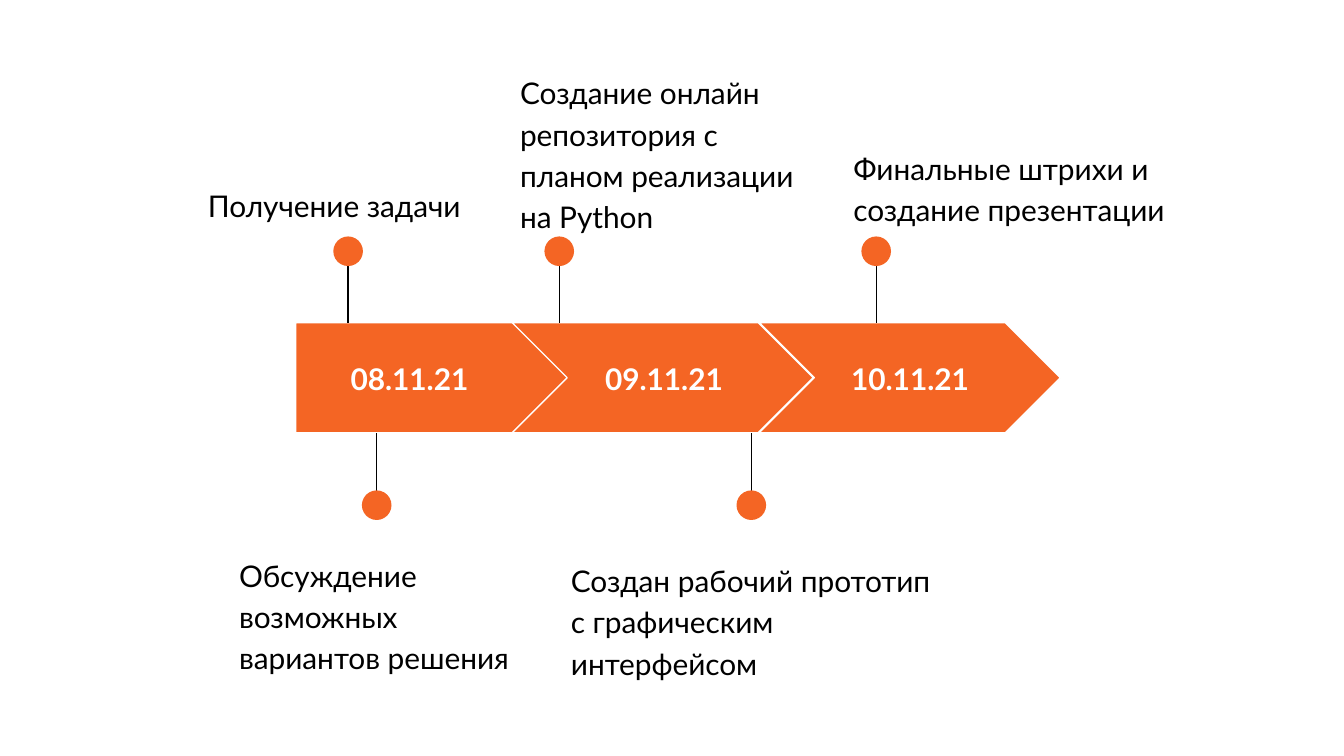
from lxml.etree import SubElement
from pptx import Presentation
from pptx.dml.color import RGBColor
from pptx.enum.shapes import MSO_CONNECTOR, MSO_SHAPE
from pptx.enum.text import MSO_ANCHOR, PP_ALIGN
from pptx.oxml.ns import qn
from pptx.util import Cm, Pt

ORANGE = RGBColor(0xF4, 0x65, 0x24)
WHITE = RGBColor(0xFF, 0xFF, 0xFF)
BLACK = RGBColor(0x00, 0x00, 0x00)

BAND_TOP, BAND_HIGH = 6.1, 2.08
STEP = 4.67
DOT = 0.56
ABOVE, BELOW = 4.75, 9.55  # centres of the two rows of dots

# date, left and width of its label
DATES = [
    ("08.11.21", 5.72, 4.04),
    ("09.11.21", 10.72, 3.66),
    ("10.11.21", 15.37, 3.66),
]

# text, box of the text, centre of the dot (x, y)
EVENTS = [
    ("Получение задачи", (3.68, 3.2, 6.22, 2.51), (6.58, ABOVE)),
    ("Обсуждение возможных вариантов решения",
     (4.27, 10.19, 5.69, 2.08), (7.12, BELOW)),
    ("Создание онлайн репозитория с планом реализации на Python",
     (9.58, 1.07, 5.82, 3.15), (10.57, ABOVE)),
    ("Создан рабочий прототип с графическим интерфейсом",
     (10.54, 10.29, 7.34, 2.51), (14.2, BELOW)),
    ("Финальные штрихи и создание презентации",
     (15.88, 2.49, 6.93, 2.51), (16.56, ABOVE)),
]


class Board:
    """Holds the style and the slide being drawn."""

    font = "Lato"
    size = Pt(16)
    line = Pt(0.75)
    inset = Cm(0.25)

    def __init__(self, slide):
        self.slide = slide

    def shape(self, kind, box, edge=None):
        shape = self.slide.shapes.add_shape(kind, *map(Cm, box))
        shape.shadow.inherit = False
        shape.fill.solid()
        shape.fill.fore_color.rgb = ORANGE
        if edge is None:
            shape.line.fill.background()
        else:
            shape.line.color.rgb = edge
            shape.line.width = self.line

    def text(self, words, box, color, bold=False):
        frame = self.slide.shapes.add_textbox(*map(Cm, box)).text_frame
        frame.word_wrap = True
        frame.margin_left = frame.margin_right = self.inset
        frame.margin_top = frame.margin_bottom = self.inset
        frame.text = words
        para = frame.paragraphs[0]
        font = para.runs[0].font
        font.name, font.size, font.bold = self.font, self.size, bold
        font.color.rgb = color
        return frame, para

    def date(self, words, box):
        frame, para = self.text(words, box, WHITE, bold=True)
        frame.vertical_anchor = MSO_ANCHOR.MIDDLE
        para.alignment = PP_ALIGN.CENTER

    def note(self, words, box):
        para = self.text(words, box, BLACK)[1]
        para.line_spacing = 1.15
        para.space_after = Pt(16)

    def pin(self, x, y):
        """Draw a dot and the stem that ties it to the band."""
        end = BAND_TOP if y < BAND_TOP else BAND_TOP + BAND_HIGH
        stem = self.slide.shapes.add_connector(
            MSO_CONNECTOR.STRAIGHT, Cm(x), Cm(y), Cm(x), Cm(end))
        stem.line.color.rgb = BLACK
        stem.line.width = self.line
        SubElement(stem._element.spPr, qn("a:effectLst"))
        self.shape(MSO_SHAPE.OVAL, (x - DOT / 2, y - DOT / 2, DOT, DOT))


def main():
    deck = Presentation()
    deck.slide_width, deck.slide_height = Cm(25.4), Cm(14.29)
    board = Board(deck.slides.add_slide(deck.slide_layouts[6]))

    board.shape(MSO_SHAPE.PENTAGON, (5.59, BAND_TOP, 5.21, BAND_HIGH), WHITE)
    for i in range(2):
        box = (9.68 + i * STEP, BAND_TOP, 5.69, BAND_HIGH)
        board.shape(MSO_SHAPE.CHEVRON, box, WHITE)
    for words, left, width in DATES:
        board.date(words, (left, 6.5, width, 1.3))
    for words, box, spot in EVENTS:
        board.pin(*spot)
        board.note(words, box)

    deck.save("out.pptx")


if __name__ == "__main__":
    main()
